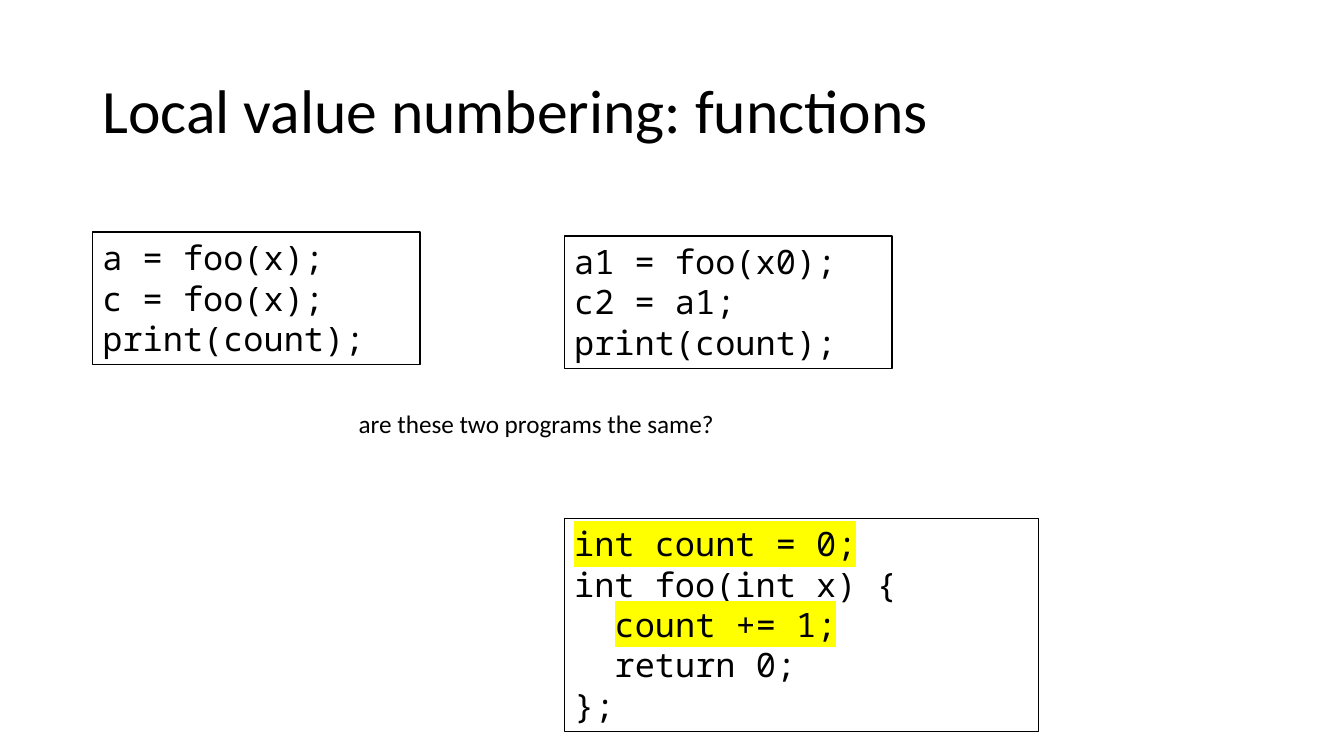
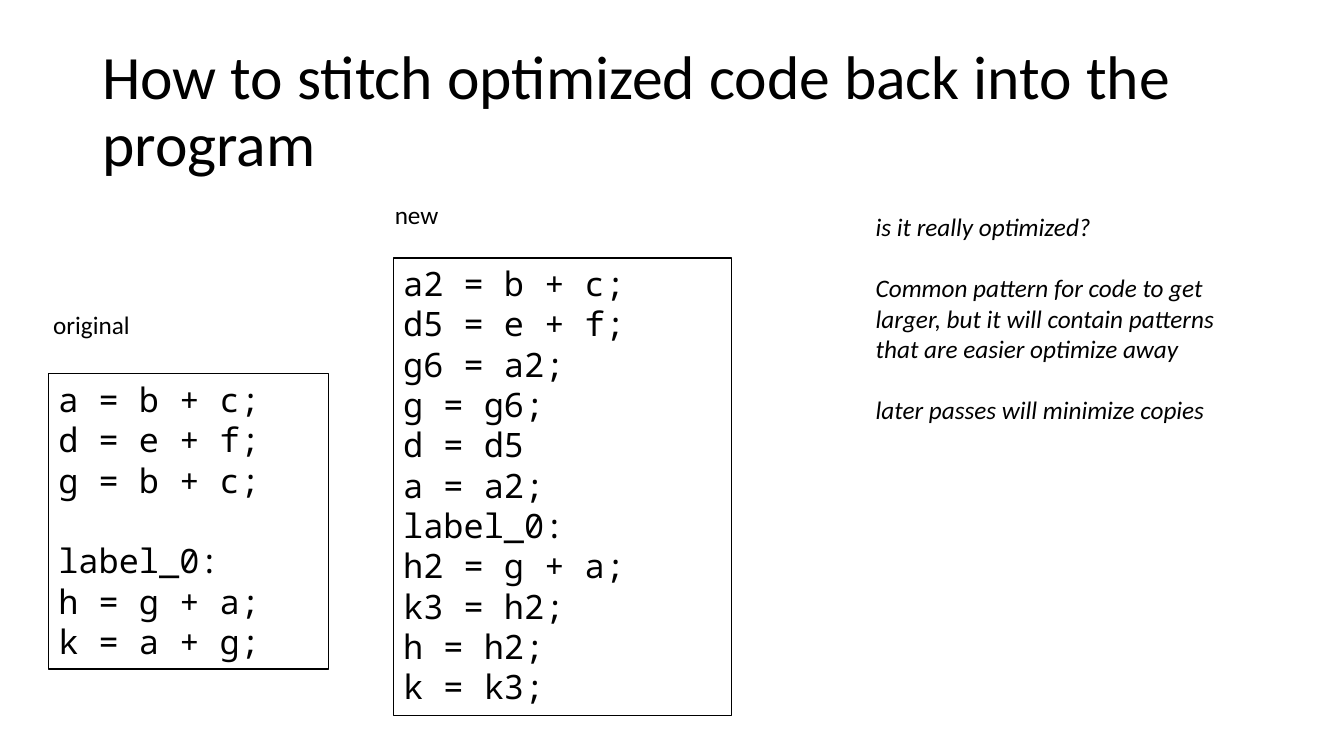
from dataclasses import dataclass

from lxml import etree
from pptx import Presentation
from pptx import util as u
from pptx.dml.color import RGBColor
from pptx.enum import shapes, text
from pptx.oxml.ns import qn


@dataclass(frozen=True)
class Theme:
    ink: RGBColor = RGBColor(0, 0, 0)
    paper: RGBColor = RGBColor(255, 255, 255)
    marker: str = "FFFF00"
    body_font: str = "Calibri"
    code_font: str = "Noto Sans Mono"
    title_pt: int = 44
    code_pt: int = 24
    note_pt: int = 18
    code_gap: int = 29
    note_gap: int = 22
    code_indent: float = 1.02


class Deck:
    def __init__(self, theme):
        self.theme = theme
        self.prs = Presentation()
        self.prs.slide_width, self.prs.slide_height = u.Cm(33.87), u.Cm(19.05)
        self.s = None

    def slide(self, title):
        """Start a slide with the shared title style."""
        t = self.theme
        self.s = self.prs.slides.add_slide(self.prs.slide_layouts[6])
        sp = self.s.shapes.add_textbox(u.Cm(2.33), u.Cm(1.01), u.Cm(29.21), u.Cm(3.68))
        tf = sp.text_frame
        tf.word_wrap = True
        tf.vertical_anchor = text.MSO_ANCHOR.MIDDLE
        self.fill_text(tf, [title], t.body_font, t.title_pt)
        tf.paragraphs[0].line_spacing = 0.9

    def fill_text(self, tf, lines, font, size, gap=0, italic=None):
        """Add one paragraph per line; an empty line becomes space before the next."""
        space, first = 0, True
        for line in lines:
            if not line:
                space = gap
                continue
            p = tf.paragraphs[0] if first else tf.add_paragraph()
            first = False
            p.alignment = text.PP_ALIGN.LEFT
            p.space_before = u.Pt(space)
            p.font.name, p.font.size, p.font.italic = font, u.Pt(size), italic
            p.font.color.rgb = self.theme.ink
            p.add_run().text = line
            space = 0

    def code(self, x, y, w, h, source, marked=(), indented=()):
        """Framed listing; marked and indented hold line numbers from 0."""
        t = self.theme
        sp = self.s.shapes.add_shape(shapes.MSO_SHAPE.RECTANGLE,
                                     u.Cm(x), u.Cm(y), u.Cm(w), u.Cm(h))
        sp.shadow.inherit = False
        sp.fill.solid()
        sp.fill.fore_color.rgb = t.paper
        sp.line.color.rgb = t.ink
        sp.line.width = u.Pt(1)
        tf = sp.text_frame
        tf.word_wrap = True
        tf.vertical_anchor = text.MSO_ANCHOR.TOP
        tf.auto_size = text.MSO_AUTO_SIZE.SHAPE_TO_FIT_TEXT
        self.fill_text(tf, source.split("\n"), t.code_font, t.code_pt, t.code_gap)
        for i in indented:
            pPr = tf.paragraphs[i]._p.get_or_add_pPr()
            pPr.set("marL", str(u.Cm(t.code_indent)))
            pPr.set("indent", "0")
        for i in marked:
            rPr = tf.paragraphs[i].runs[0]._r.get_or_add_rPr()
            highlight = etree.SubElement(rPr, qn("a:highlight"))
            etree.SubElement(highlight, qn("a:srgbClr"), val=t.marker)

    def note(self, x, y, w, h, words, italic=None):
        """Plain text that does not wrap."""
        t = self.theme
        sp = self.s.shapes.add_textbox(u.Cm(x), u.Cm(y), u.Cm(w), u.Cm(h))
        tf = sp.text_frame
        tf.word_wrap = False
        tf.auto_size = text.MSO_AUTO_SIZE.SHAPE_TO_FIT_TEXT
        self.fill_text(tf, words.split("\n"), t.body_font, t.note_pt, t.note_gap, italic)


deck = Deck(Theme())

# Slide 1: a call with a side effect
deck.slide("Local value numbering: functions")
deck.code(2.33, 5.85, 8.26, 3.33, "a = foo(x);\nc = foo(x);\nprint(count);")
deck.code(14.22, 5.95, 8.26, 3.33, "a1 = foo(x0);\nc2 = a1;\nprint(count);")
deck.note(8.79, 10.16, 9.58, 1.02, "are these two programs the same?")
deck.code(14.22, 13.06, 11.96, 5.38,
          "int count = 0;\nint foo(int x) {\ncount += 1;\nreturn 0;\n};",
          marked=(0, 2), indented=(2, 3))

# Slide 2: code before and after numbering
deck.slide("How to stitch optimized code back into the program")
deck.code(9.91, 6.5, 8.53, 11.53,
          "a2 = b + c;\nd5 = e + f;\ng6 = a2;\ng = g6;\nd = d5\na = a2;\n"
          "label_0:\nh2 = g + a;\nk3 = h2;\nh = h2;\nk = k3;")
deck.code(1.22, 9.42, 7.06, 7.44,
          "a = b + c;\nd = e + f;\ng = b + c;\n\nlabel_0:\nh = g + a;\nk = a + g;")
deck.note(1.09, 7.67, 2.46, 1.02, "original")
deck.note(9.7, 4.9, 1.63, 1.02, "new")
deck.note(21.82, 5.21, 9.14, 5.64,
          "is it really optimized?\n\nCommon pattern for code to get\n"
          "larger, but it will contain patterns\nthat are easier optimize away\n\n"
          "later passes will minimize copies", italic=True)

deck.prs.save("out.pptx")
